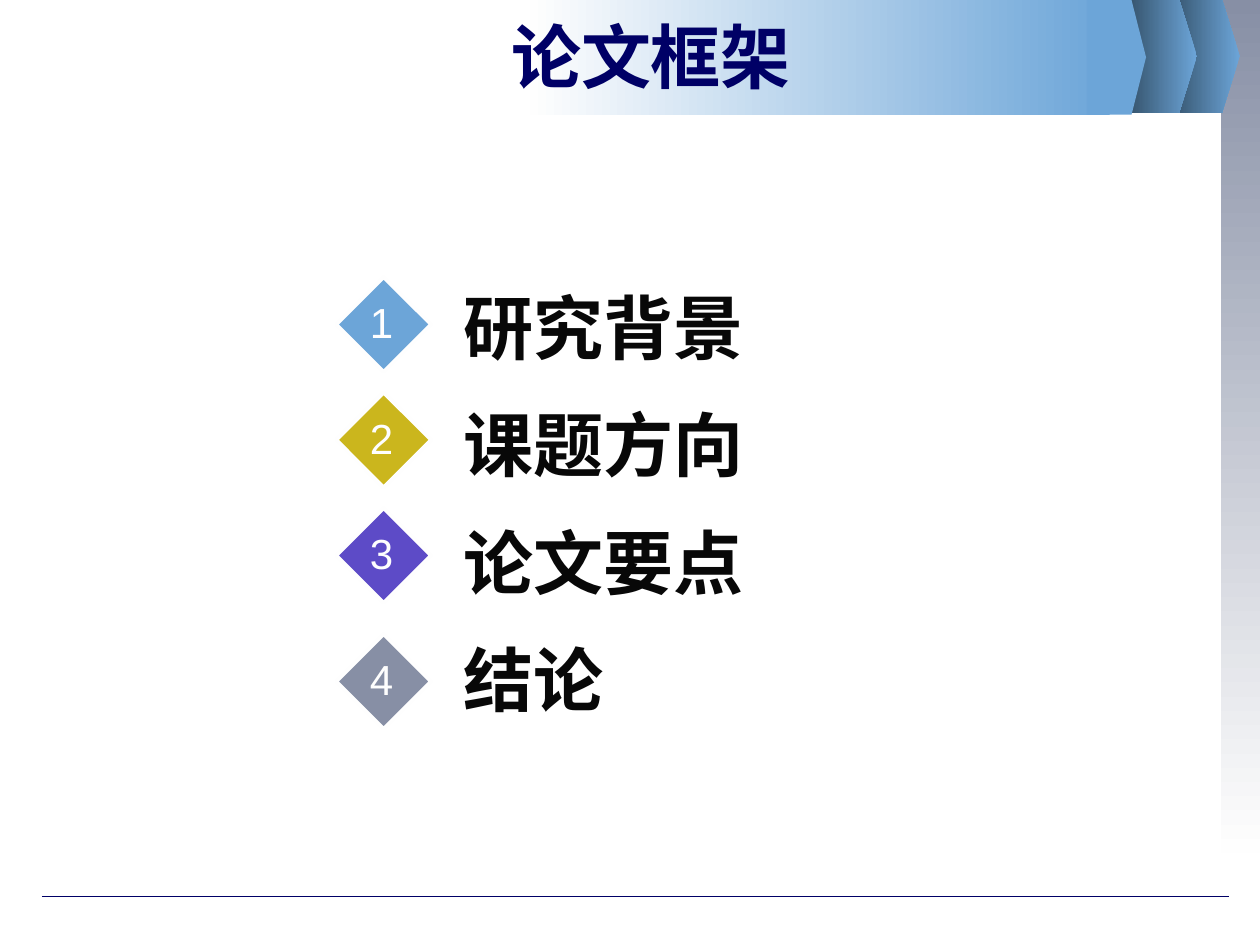
from dataclasses import dataclass

import pptx
import pptx.dml.color
import pptx.enum.shapes
import pptx.enum.text
import pptx.oxml.ns
import pptx.util
from lxml import etree

Pt = pptx.util.Pt
SHAPE = pptx.enum.shapes.MSO_SHAPE
ALIGN = pptx.enum.text.PP_ALIGN
ANCHOR = pptx.enum.text.MSO_ANCHOR
AUTO_SIZE = pptx.enum.text.MSO_AUTO_SIZE

COLORS = {
    "navy": "000066",
    "ink": "080808",
    "white": "FEFEFE",
    "sky": "6CA5D8",
    "deep": "314C63",
    "gold": "CBB61D",
    "violet": "5D4BC7",
    "slate": "878FA5",
}


@dataclass
class Chevron:
    left: float
    top: float
    shoulder: float
    width: float
    gradient: bool


@dataclass
class Topic:
    text: str
    color: str
    top: float


CHEVRONS = [
    Chevron(666, -0.72, 32.2, 42.5, True),
    Chevron(641.5, -0.72, 32.2, 42.5, True),
    Chevron(621.4, 0, 25.2, 33.5, False),
]
TOPICS = [
    Topic("研究背景", "sky", 158.4),
    Topic("课题方向", "gold", 224.4),
    Topic("论文要点", "violet", 290.4),
    Topic("结论", "slate", 362.4),
]
HEADER_HEIGHT = 65.5


def rgb(name: str):
    return pptx.dml.color.RGBColor.from_string(COLORS[name])


def fill_shape(shape, start: str, end: str = "", angle: float = 0) -> None:
    """Fill solid, or as a gradient when an end colour is given."""
    shape.shadow.inherit = False
    shape.line.fill.background()
    if not end:
        shape.fill.solid()
        shape.fill.fore_color.rgb = rgb(start)
        return
    shape.fill.gradient()
    shape.fill.gradient_angle = angle
    for stop, name, position in zip(shape.fill.gradient_stops, (start, end), (0, 1)):
        stop.color.rgb = rgb(name)
        stop.position = position


def write_text(frame, lines: list[str], *, size: float, font: str, color: str,
               bold: bool = False, align=ALIGN.LEFT, spacing: float = 1.0,
               anchor=ANCHOR.TOP, wrap: bool = True, auto_size=AUTO_SIZE.NONE) -> None:
    frame.word_wrap = wrap
    frame.auto_size = auto_size
    frame.vertical_anchor = anchor
    for index, line in enumerate(lines):
        para = frame.add_paragraph() if index else frame.paragraphs[0]
        para.alignment = align
        para.line_spacing = spacing
        span = para.add_run()
        span.text = line
        span.font.size = Pt(size)
        span.font.name = font
        span.font.bold = bold
        span.font.color.rgb = rgb(color)


def add_rectangle(page, left: float, top: float, width: float, height: float):
    return page.shapes.add_shape(SHAPE.RECTANGLE, Pt(left), Pt(top), Pt(width), Pt(height))


def add_chevron(page, chevron: Chevron) -> None:
    left, top = chevron.left, chevron.top
    shoulder, bottom = left + chevron.shoulder, top + HEADER_HEIGHT
    corners = [(shoulder, top), (left + chevron.width, top + HEADER_HEIGHT / 2),
               (shoulder, bottom), (left, bottom)]
    builder = page.shapes.build_freeform(Pt(left), Pt(top))
    builder.add_line_segments([(Pt(x), Pt(y)) for x, y in corners], close=True)
    fill_shape(builder.convert_to_shape(), "sky", "deep" if chevron.gradient else "", 180)


def add_marker(page, number: int, topic: Topic) -> None:
    diamond = page.shapes.add_shape(SHAPE.DIAMOND, Pt(192.24), Pt(topic.top), Pt(54), Pt(54))
    fill_shape(diamond, topic.color)
    diamond.line.color.rgb = rgb("white")
    diamond.line.width = Pt(2)
    box = page.shapes.add_textbox(Pt(204.3), Pt(topic.top + 7.6), Pt(27.4), Pt(36))
    write_text(box.text_frame, [str(number)], size=24, font="Arial", color="white",
               align=ALIGN.CENTER, wrap=False, auto_size=AUTO_SIZE.SHAPE_TO_FIT_TEXT)


def add_rule(page) -> None:
    rule = page.shapes.add_connector(pptx.enum.shapes.MSO_CONNECTOR.STRAIGHT,
                                     Pt(24), Pt(512.4), Pt(702), Pt(512.4))
    rule.line.color.rgb = rgb("navy")
    rule.line.width = Pt(0.75)
    etree.SubElement(rule._element.spPr, pptx.oxml.ns.qn("a:effectLst"))


def main() -> None:
    deck = pptx.Presentation()
    deck.slide_width, deck.slide_height = Pt(720), Pt(540)
    page = deck.slides.add_slide(deck.slide_layouts[5])

    # Side bar, footer rule and header band
    fill_shape(add_rectangle(page, 697.7, 0, 22.3, 487.5), "slate", "white", 270)
    add_rule(page)
    for chevron in CHEVRONS[:2]:
        add_chevron(page, chevron)
    fill_shape(add_rectangle(page, 303, 0, 331.2, HEADER_HEIGHT), "sky", "white", 180)
    add_chevron(page, CHEVRONS[2])

    # Title, raised above the header band
    title = page.shapes.title
    title.left, title.top, title.width, title.height = Pt(90), Pt(8.6), Pt(564), Pt(46.8)
    write_text(title.text_frame, ["论文框架"], size=40, font="Times New Roman", color="navy",
               bold=True, align=ALIGN.CENTER, anchor=ANCHOR.MIDDLE)
    page.shapes._spTree.append(title._element)

    # Topics and their numbered diamonds
    box = page.shapes.add_textbox(Pt(258), Pt(139.7), Pt(270), Pt(276.5))
    write_text(box.text_frame, [topic.text for topic in TOPICS], size=40,
               font="Times New Roman", color="ink", bold=True, spacing=1.4,
               auto_size=AUTO_SIZE.SHAPE_TO_FIT_TEXT)
    for number, topic in enumerate(TOPICS, start=1):
        add_marker(page, number, topic)

    deck.save("out.pptx")


if __name__ == "__main__":
    main()
